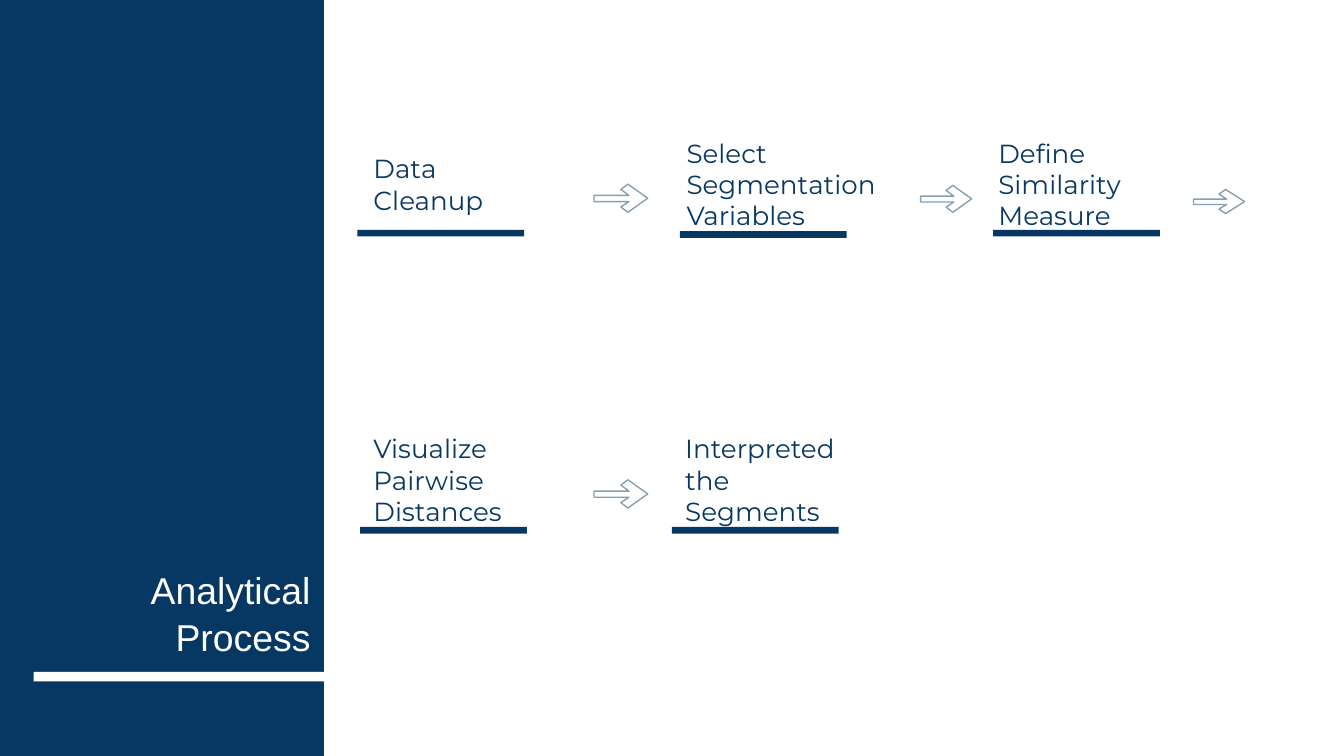
from pptx import Presentation
from pptx.dml.color import RGBColor
from pptx.enum.shapes import MSO_SHAPE
from pptx.enum.text import MSO_ANCHOR, PP_ALIGN
from pptx.util import Pt

PX = 4572  # EMU per px, 200 px to the inch
RECTANGLE = MSO_SHAPE.RECTANGLE
MIDDLE, BOTTOM = MSO_ANCHOR.MIDDLE, MSO_ANCHOR.BOTTOM
LEFT, RIGHT = PP_ALIGN.LEFT, PP_ALIGN.RIGHT

NAVY, WHITE, STEEL = "073763", "FFFFFF", "869FB2"
INSET = 20
BLANK_LAYOUT = 6

STEP_HEIGHT = 84
RULE_WIDTH, RULE_HEIGHT = 248, 10
# Arrow outline as percentages of its box
ARROW_OUTLINE = [(63, 0), (50, 19), (65, 40), (0, 40), (0, 62),
                 (65, 62), (50, 81), (63, 100), (100, 50)]

# text, (left, top, width), rule offset from the text box, arrow box
STEPS = [
    ("Data Cleanup", (536, 232, 270), (-4, 110), (884, 274, 80, 42)),
    ("Select Segmentation Variables", (1002, 232, 350), (10, 112), (1370, 276, 76, 40)),
    ("Define Similarity Measure", (1466, 232, 270), (12, 110), (1776, 282, 76, 36)),
    ("Visualize Pairwise Distances", (536, 672, 270), (0, 112), (884, 714, 80, 42)),
    ("Interpreted the Segments", (1000, 672, 284), (0, 112), None),
]


def color(hex_value):
    return RGBColor.from_string(hex_value)


def emu(*lengths):
    return [length * PX for length in lengths]


def add_bar(slide, box, fill):
    shape = slide.shapes.add_shape(RECTANGLE, *emu(*box))
    shape.shadow.inherit = False
    shape.fill.solid()
    shape.fill.fore_color.rgb = color(fill)
    shape.line.fill.background()


def add_text(slide, box, text, font, size, fill, anchor=MIDDLE, align=LEFT, spacing=1.0):
    frame = slide.shapes.add_textbox(*emu(*box)).text_frame
    frame_format = {"word_wrap": True, "vertical_anchor": anchor}
    frame_format.update({f"margin_{side}": INSET * PX
                         for side in ("left", "top", "right", "bottom")})
    for name, value in frame_format.items():
        setattr(frame, name, value)
    paragraph = frame.paragraphs[0]
    paragraph.alignment = align
    paragraph.line_spacing = spacing
    run = paragraph.add_run()
    run.text = text
    for name, value in {"name": font, "size": Pt(size)}.items():
        setattr(run.font, name, value)
    run.font.color.rgb = color(fill)


def add_arrow(slide, box):
    left, top, width, height = box
    points = [(left + width * x / 100, top + height * y / 100) for x, y in ARROW_OUTLINE]
    builder = slide.shapes.build_freeform(*emu(*points[0]), scale=1.0)
    builder.add_line_segments([emu(*point) for point in points[1:]], close=True)
    shape = builder.convert_to_shape()
    shape.shadow.inherit = False
    shape.fill.background()
    shape.line.color.rgb = color(STEEL)
    shape.line.width = Pt(0.75)


def add_sidebar(slide, box):
    """Navy panel with the slide title above a white rule."""
    left, top, width, height = box
    add_bar(slide, box, NAVY)
    add_bar(slide, (left + 58, top + 1014, 456, 14), WHITE)
    add_text(slide, (left + 144, top + 776, 346, 238), "Analytical Process",
             "Arial", 20, WHITE, BOTTOM, RIGHT, 1.05)


def add_step(slide, box, text, rule_offset):
    """Step name with a navy rule beneath it."""
    left, top, width = box
    rule_x, rule_y = rule_offset
    add_text(slide, (left, top, width, STEP_HEIGHT), text, "Montserrat", 14, NAVY)
    add_bar(slide, (left + rule_x, top + rule_y, RULE_WIDTH, RULE_HEIGHT), NAVY)


def main():
    presentation = Presentation()
    presentation.slide_width, presentation.slide_height = emu(2000, 1125)
    slide = presentation.slides.add_slide(presentation.slide_layouts[BLANK_LAYOUT])
    add_sidebar(slide, (-8, -14, 490, 1154))
    for text, box, rule_offset, arrow_box in STEPS:
        add_step(slide, box, text, rule_offset)
        if arrow_box:
            add_arrow(slide, arrow_box)
    presentation.save("out.pptx")


if __name__ == "__main__":
    main()
